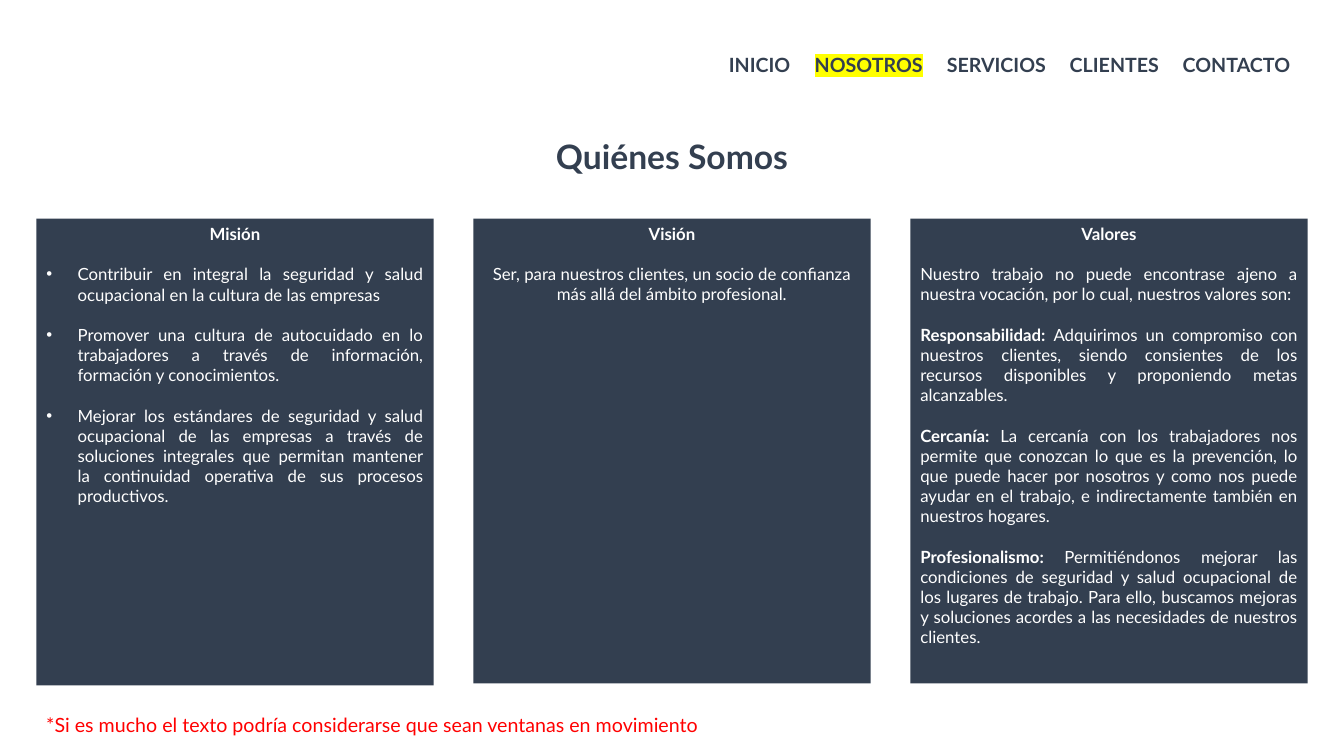
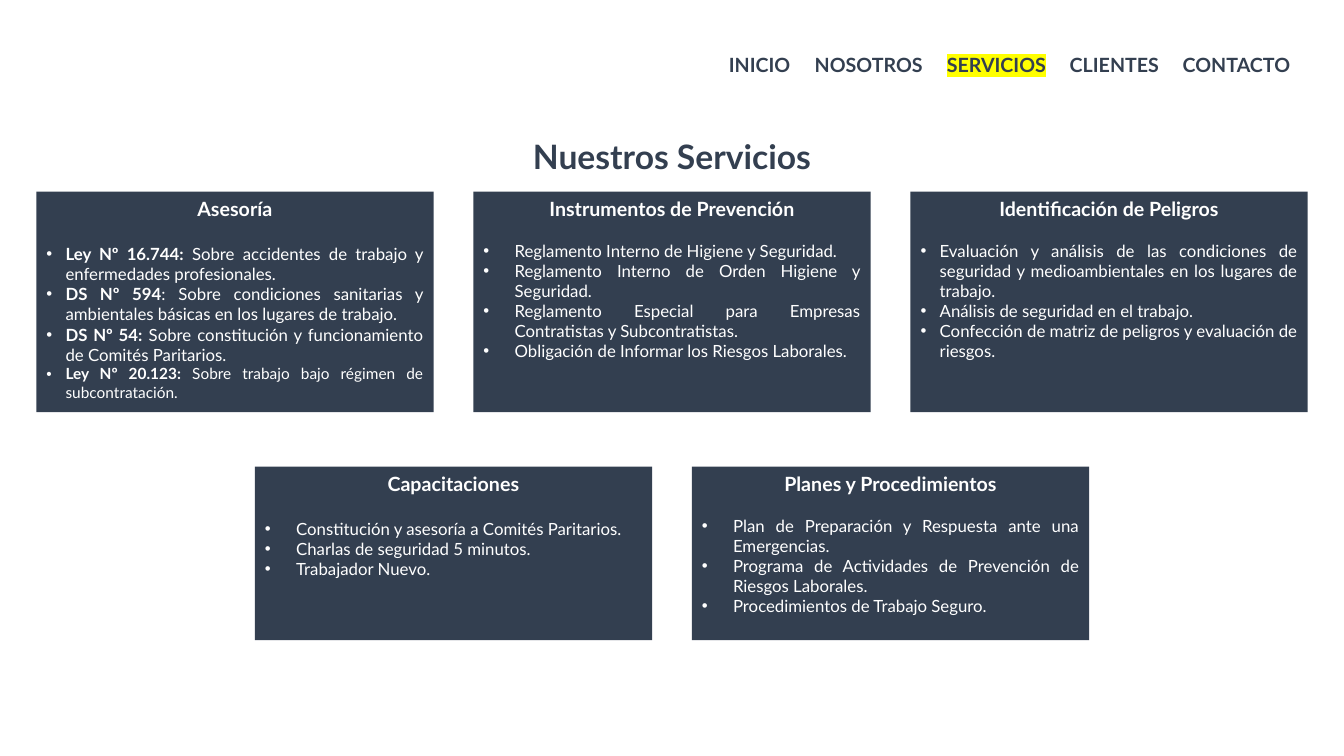
"""Build the two website mock-up slides, about us and services."""
from dataclasses import dataclass
from typing import Optional

from lxml.etree import SubElement
from pptx import Presentation
from pptx.dml.color import RGBColor
from pptx.enum.shapes import MSO_SHAPE
from pptx.enum.text import MSO_ANCHOR, MSO_AUTO_SIZE, PP_ALIGN
from pptx.oxml.ns import qn
from pptx.shapes.autoshape import Shape
from pptx.slide import Slide
from pptx.text.text import TextFrame, _Paragraph
from pptx.util import Inches, Pt

NAVY = RGBColor(0x33, 0x3F, 0x50)
WHITE = RGBColor(0xFF, 0xFF, 0xFF)
RED = RGBColor(0xFF, 0x00, 0x00)
YELLOW = RGBColor(0xFF, 0xFF, 0x00)
FONT = "Lato"
LEADING = 1.2

WIDE, HIGH = 13.33, 7.5
EDGE = 0.36
SPAN = WIDE - 2 * EDGE
COLS = 3
PANEL = 3.94
STEP = (SPAN - PANEL) / (COLS - 1)
INSET = 0.1


@dataclass(frozen=True)
class Entry:
    word: str
    left: float
    wide: float


MENU = (
    Entry("INICIO", 7.23, 0.8),
    Entry("NOSOTROS", 8.08, 1.25),
    Entry("SERVICIOS", 9.39, 1.15),
    Entry("CLIENTES", 10.61, 1.05),
    Entry("CONTACTO", 11.73, 1.2),
)


@dataclass(frozen=True)
class Item:
    text: str
    lead: str = ""
    size: float = 12


@dataclass(frozen=True)
class Panel:
    col: float
    top: float
    high: float
    head: str
    items: tuple[Item, ...]
    size: float = 14
    first: float = 12
    gap: float = 0
    indent: float = 0.31
    align: PP_ALIGN = PP_ALIGN.JUSTIFY


@dataclass(frozen=True)
class Page:
    layout: int
    title: str
    here: str
    panels: tuple[Panel, ...]
    note: str = ""


TOP, TALL = 2.17, 4.61
UPPER, LOWER = (1.9, 2.19), (4.63, 1.72)

PAGES = (
    Page(1, "Quiénes Somos", "NOSOTROS", (
        Panel(0, TOP, TALL + 0.02, "Misión", (
            Item("Contribuir en integral la seguridad y salud ocupacional en la "
                 "cultura de las empresas"),
            Item("Promover una cultura de autocuidado en lo trabajadores a través "
                 "de información, formación y conocimientos."),
            Item("Mejorar los estándares de seguridad y salud ocupacional de las "
                 "empresas a través de soluciones integrales que permitan mantener "
                 "la continuidad operativa de sus procesos productivos."),
        ), size=12, gap=12),
        Panel(1, TOP, TALL, "Visión", (
            Item("Ser, para nuestros clientes, un socio de confianza más allá del "
                 "ámbito profesional."),
        ), size=12, indent=0, align=PP_ALIGN.CENTER),
        Panel(2, TOP, TALL, "Valores", (
            Item("Nuestro trabajo no puede encontrase ajeno a nuestra vocación, por "
                 "lo cual, nuestros valores son:"),
            Item("Adquirimos un compromiso con nuestros clientes, siendo consientes "
                 "de los recursos disponibles y proponiendo metas alcanzables.",
                 "Responsabilidad: "),
            Item("La cercanía con los trabajadores nos permite que conozcan lo que "
                 "es la prevención, lo que puede hacer por nosotros y como nos puede "
                 "ayudar en el trabajo, e indirectamente también en nuestros hogares.",
                 "Cercanía: "),
            Item("Permitiéndonos mejorar las condiciones de seguridad y salud "
                 "ocupacional de los lugares de trabajo. Para ello, buscamos mejoras "
                 "y soluciones acordes a las necesidades de nuestros clientes.",
                 "Profesionalismo: "),
        ), size=12, gap=12, indent=0),
    ), "*Si es mucho el texto podría considerarse que sean ventanas en movimiento"),
    Page(4, "Nuestros Servicios", "SERVICIOS", (
        Panel(0, *UPPER, "Asesoría", (
            Item("Sobre accidentes de trabajo y enfermedades profesionales.",
                 "Ley Nº 16.744: "),
            Item(": Sobre condiciones sanitarias y ambientales básicas en los "
                 "lugares de trabajo.", "DS Nº 594"),
            Item(" Sobre constitución y funcionamiento de Comités Paritarios.",
                 "DS Nº 54:"),
            Item(" Sobre trabajo bajo régimen de subcontratación.",
                 "Ley Nº 20.123:", 11),
        ), first=14, indent=0.19),
        Panel(1, *UPPER, "Instrumentos de Prevención", (
            Item("Reglamento Interno de Higiene y Seguridad."),
            Item("Reglamento Interno de Orden Higiene y Seguridad."),
            Item("Reglamento Especial para Empresas Contratistas y Subcontratistas."),
            Item("Obligación de Informar los Riesgos Laborales."),
        )),
        Panel(2, *UPPER, "Identificación de Peligros", (
            Item("Evaluación y análisis de las condiciones de seguridad y "
                 "medioambientales en los lugares de trabajo."),
            Item("Análisis de seguridad en el trabajo."),
            Item("Confección de matriz de peligros y evaluación de riesgos."),
        ), indent=0.19),
        Panel(0.5, *LOWER, "Capacitaciones", (
            Item("Constitución y asesoría a Comités Paritarios."),
            Item("Charlas de seguridad 5 minutos."),
            Item("Trabajador Nuevo."),
        ), first=14),
        Panel(1.5, *LOWER, "Planes y Procedimientos", (
            Item("Plan de Preparación y Respuesta ante una Emergencias."),
            Item("Programa de Actividades de Prevención de Riesgos Laborales."),
            Item("Procedimientos de Trabajo Seguro."),
        )),
    )),
)


def place(shape: Shape, left: float, top: float, wide: float, high: float,
          inset: float = INSET) -> TextFrame:
    """Move a shape and return its text frame, set to wrap from the top."""
    shape.left, shape.top = Inches(left), Inches(top)
    shape.width, shape.height = Inches(wide), Inches(high)
    frame = shape.text_frame
    frame.word_wrap = True
    frame.auto_size = MSO_AUTO_SIZE.NONE
    frame.vertical_anchor = MSO_ANCHOR.TOP
    frame.margin_left = frame.margin_right = Inches(inset)
    frame.margin_top = frame.margin_bottom = Inches(0.05)
    return frame


def write(para: _Paragraph, text: str, size: float, color: RGBColor,
          bold: bool = False, mark: Optional[RGBColor] = None) -> None:
    """Add one run, with a highlight if asked."""
    run = para.add_run()
    run.text = text
    font = run.font
    font.size, font.bold = Pt(size), bold
    font.color.rgb = color
    if mark is not None:
        light = SubElement(run._r.get_or_add_rPr(), qn("a:highlight"))
        SubElement(light, qn("a:srgbClr")).set("val", str(mark))
    font.name = FONT


def shape_para(para: _Paragraph, align: PP_ALIGN, before: float = 0,
               indent: float = 0) -> None:
    """Set alignment, the space above and the bullet of a paragraph."""
    para.alignment = align
    para.line_spacing = 1.0
    para.space_before, para.space_after = Pt(before), Pt(0)
    props = para._p.get_or_add_pPr()
    props.set("marL", str(Inches(indent)))
    props.set("indent", str(-Inches(indent)))
    if indent:
        SubElement(props, qn("a:buFont")).set("typeface", "Arial")
        SubElement(props, qn("a:buChar")).set("char", "•")
    else:
        SubElement(props, qn("a:buNone"))


def add_title(slide: Slide, text: str) -> None:
    """Fill the title placeholder."""
    para = place(slide.shapes.title, EDGE, 1.3, SPAN, 0.5).paragraphs[0]
    shape_para(para, PP_ALIGN.CENTER)
    write(para, text, 24, NAVY, True)


def add_text(slide: Slide, left: float, top: float, wide: float,
             inset: float = INSET) -> _Paragraph:
    """Add a one-line text box and return its paragraph."""
    box = slide.shapes.add_textbox(0, 0, 0, 0)
    para = place(box, left, top, wide, 0.34, inset).paragraphs[0]
    shape_para(para, PP_ALIGN.LEFT)
    return para


def add_menu(slide: Slide, here: str) -> None:
    """Draw the site menu with the current entry highlighted."""
    for entry in MENU:
        para = add_text(slide, entry.left, 0.48, entry.wide, 0)
        mark = YELLOW if entry.word == here else None
        write(para, entry.word, 14, NAVY, True, mark)


def add_panel(shape: Shape, panel: Panel) -> None:
    """Turn a shape into a dark panel with a heading and its items."""
    frame = place(shape, EDGE + panel.col * STEP, panel.top, PANEL, panel.high)
    shape.shadow.inherit = False
    shape.fill.solid()
    shape.fill.fore_color.rgb = NAVY
    shape.line.fill.background()
    head = frame.paragraphs[0]
    shape_para(head, PP_ALIGN.CENTER)
    write(head, panel.head, panel.size, WHITE, True)
    for spot, item in enumerate(panel.items):
        para = frame.add_paragraph()
        above = panel.gap if spot else panel.first
        shape_para(para, panel.align, above * LEADING, panel.indent)
        if item.lead:
            write(para, item.lead, item.size, WHITE, True)
        write(para, item.text, item.size, WHITE)


def add_page(deck: Presentation, page: Page) -> None:
    """Add one slide, using its body placeholders before new rectangles."""
    slide = deck.slides.add_slide(deck.slide_layouts[page.layout])
    bodies = [hold for hold in slide.placeholders if hold.placeholder_format.idx]
    add_title(slide, page.title)
    add_menu(slide, page.here)
    for panel in page.panels:
        shape = bodies.pop(0) if bodies else slide.shapes.add_shape(
            MSO_SHAPE.RECTANGLE, 0, 0, 0, 0)
        add_panel(shape, panel)
    if page.note:
        write(add_text(slide, EDGE, 7.02, SPAN), page.note, 14, RED)


def main() -> None:
    """Build and save the deck."""
    deck = Presentation()
    deck.slide_width, deck.slide_height = Inches(WIDE), Inches(HIGH)
    for page in PAGES:
        add_page(deck, page)
    deck.save("out.pptx")


if __name__ == "__main__":
    main()
